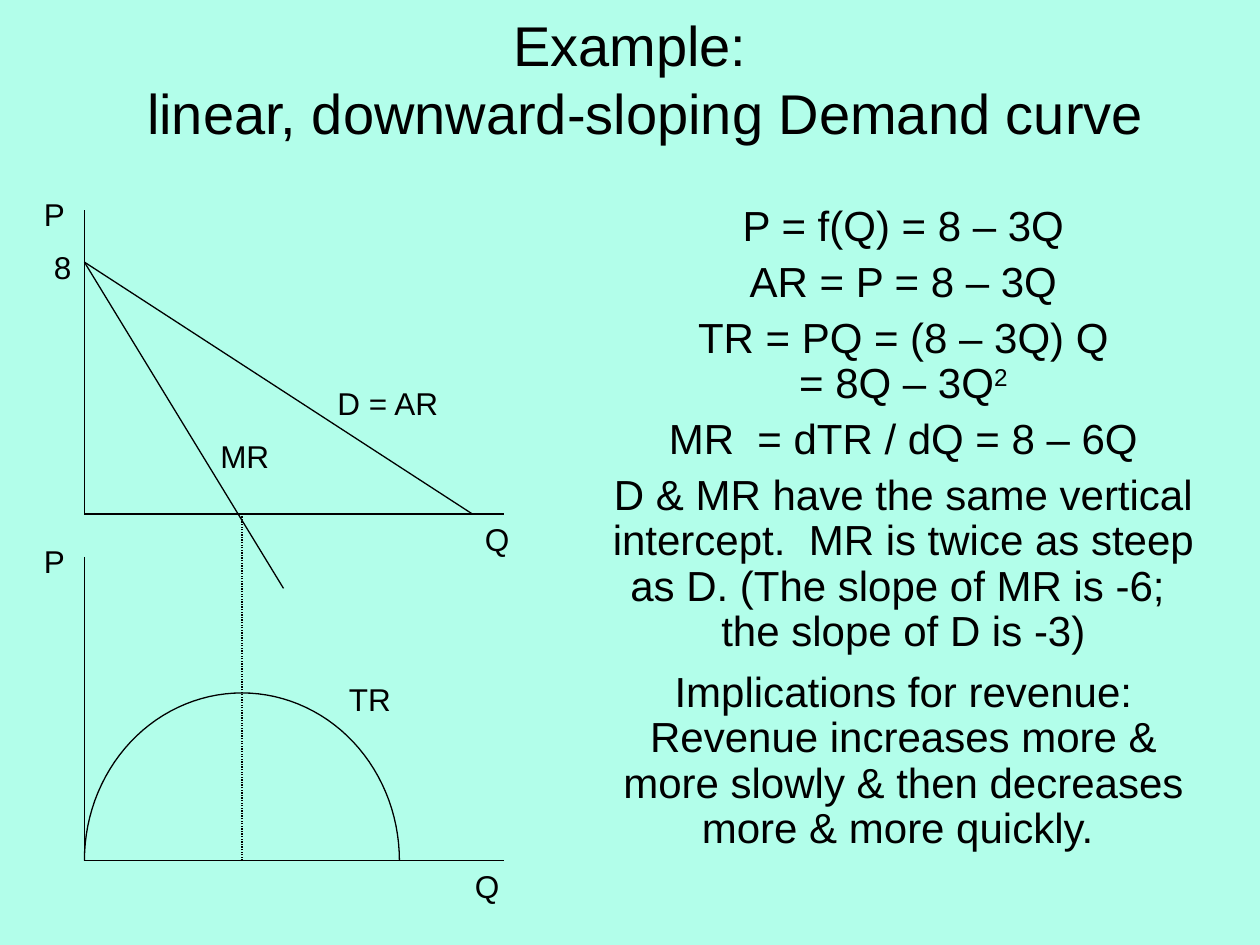
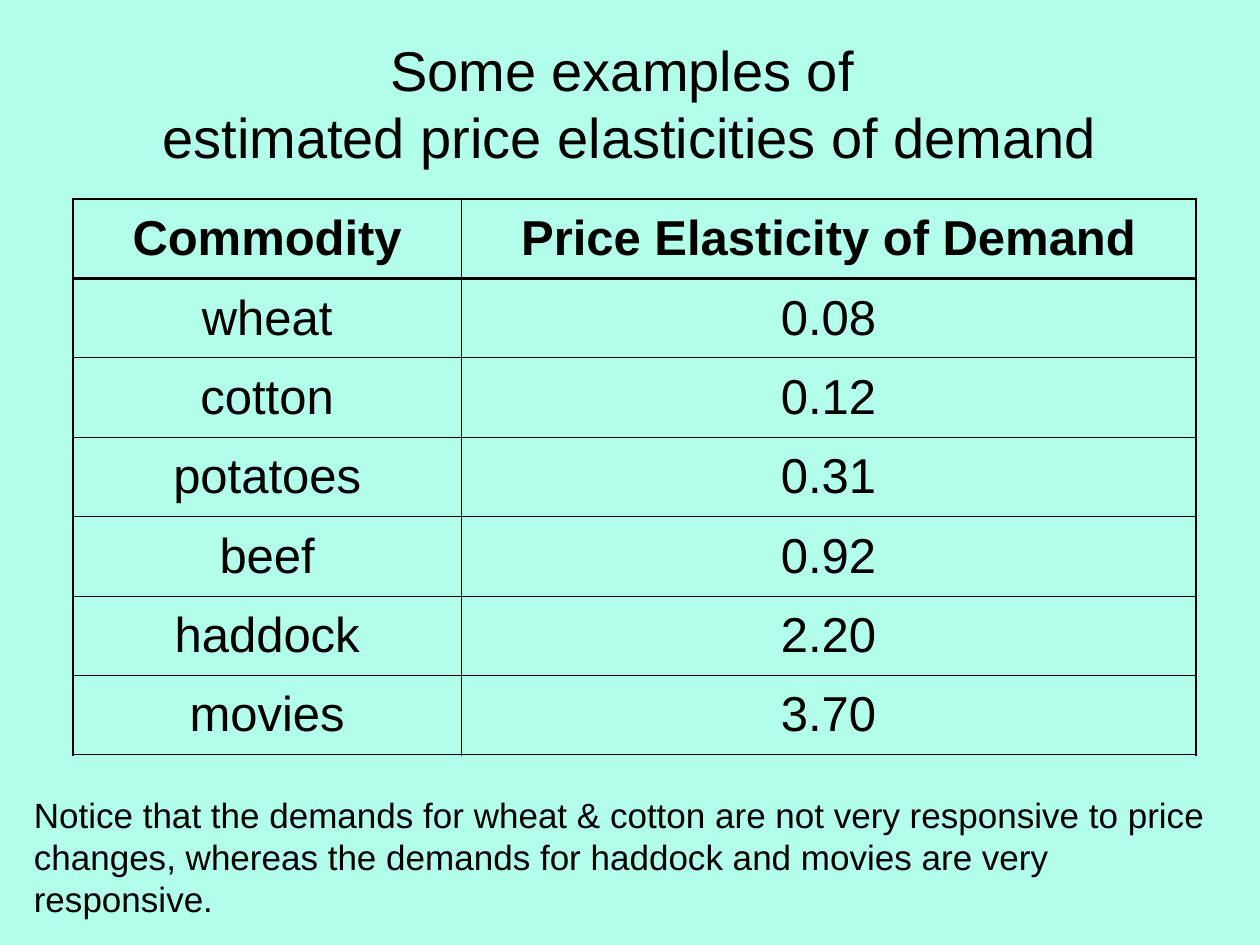
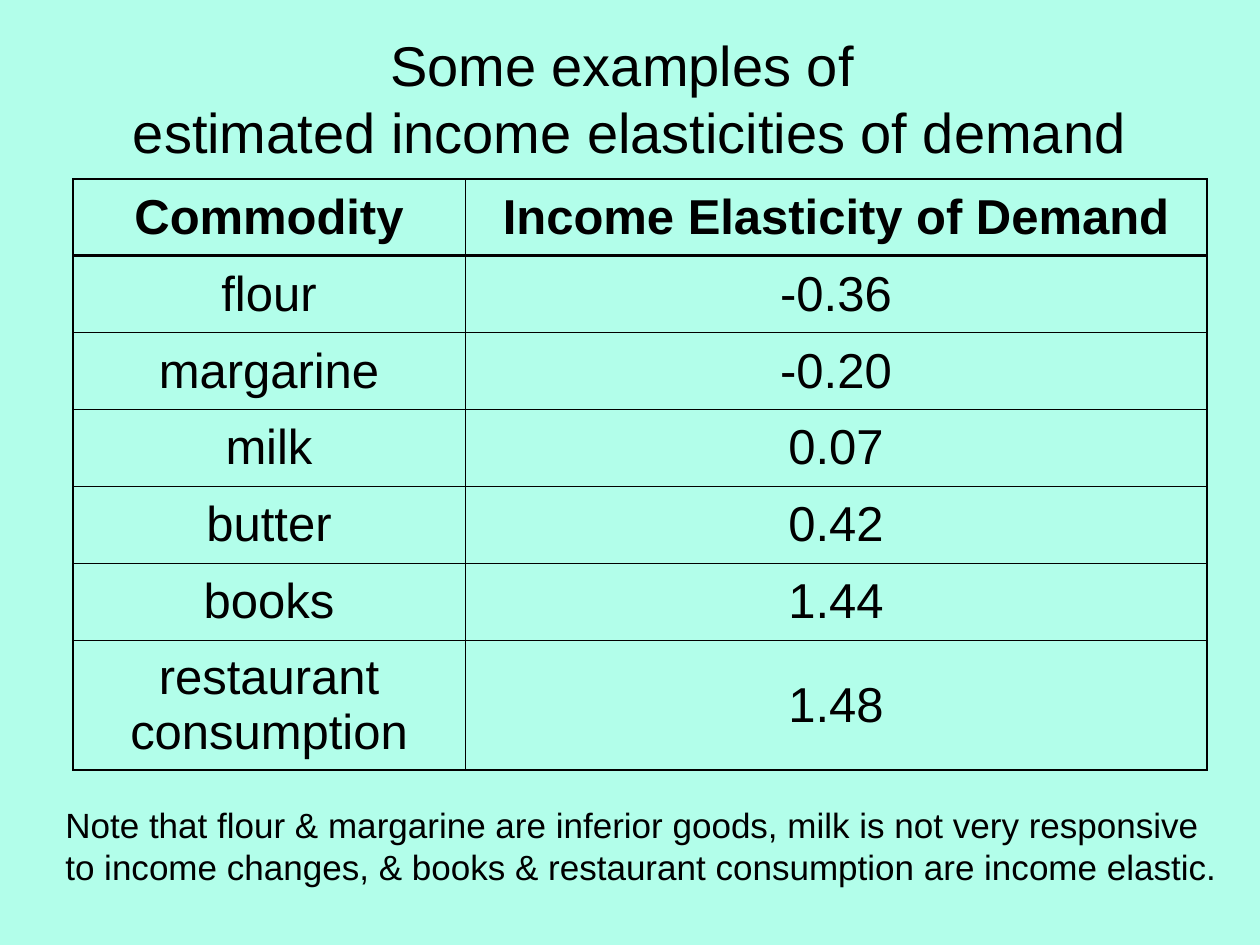
import math
from dataclasses import dataclass, field
from lxml import etree
from pptx import Presentation, util as u
from pptx.dml.color import RGBColor
from pptx.enum import dml, shapes, text
from pptx.oxml.ns import qn
from pptx.slide import Slide
from pptx.text.text import TextFrame


@dataclass(frozen=True)
class Theme:
    font: str = "Arial"
    ink: str = "000000"
    background: str = "B2FEEA"
    title: int = 32
    table: int = 28
    body: int = 24
    note: int = 20
    label: int = 18
    curve: float = 0.75
    grid_line: float = 0.45
    outer_line: float = 1.08
    header_line: float = 2.21


THEME = Theme()
INK = RGBColor.from_string(THEME.ink)
CENTER = text.PP_ALIGN.CENTER


@dataclass(frozen=True)
class Box:
    left: float
    top: float
    width: float
    height: float

    def emu(self) -> list[int]:
        return [u.Inches(n) for n in (self.left, self.top, self.width, self.height)]


@dataclass(frozen=True)
class Para:
    text: str
    before: float = 0
    indent: float = 0
    superscript: str = ""


@dataclass(frozen=True)
class Style:
    size: int
    align: text.PP_ALIGN = text.PP_ALIGN.LEFT
    bold: bool = False
    spacing: float = 1.0
    anchor: text.MSO_ANCHOR = text.MSO_ANCHOR.TOP


TITLE = Style(THEME.title, CENTER, anchor=text.MSO_ANCHOR.MIDDLE)
BODY = Style(THEME.body, CENTER, spacing=0.9)
NOTE = Style(THEME.note)
LABEL = Style(THEME.label)


@dataclass(frozen=True)
class Label:
    text: str
    left: float
    top: float
    width: float = 0.42
    indent: float = 0


@dataclass(frozen=True)
class Segment:
    x1: float
    y1: float
    x2: float
    y2: float
    dotted: bool = False


@dataclass(frozen=True)
class ElasticitySlide:
    kind: str
    title_height: float
    table_top: float
    widths: tuple[float, float]
    row_height: float
    values: dict[str, str]
    note_box: Box
    note: str
    tall_rows: dict[str, float] = field(default_factory=dict)


def fill_text(tf: TextFrame, paras: list[Para], style: Style) -> None:
    for i, para in enumerate(paras):
        p = tf.paragraphs[0] if i == 0 else tf.add_paragraph()
        p.text = para.text
        if para.superscript:
            r = p.add_run()
            r.text = para.superscript
            r._r.get_or_add_rPr().set("baseline", "30000")
        if para.indent:
            p._p.get_or_add_pPr().set("marL", str(u.Inches(para.indent)))
        p.alignment = style.align
        p.line_spacing = style.spacing
        p.space_before = u.Pt(para.before)
        p.font.name = THEME.font
        p.font.size = u.Pt(style.size)
        p.font.bold = style.bold
        p.font.color.rgb = INK


def add_text(s: Slide, box: Box, paras: list[Para], style: Style) -> None:
    tf = s.shapes.add_textbox(*box.emu()).text_frame
    tf.word_wrap = True
    tf.vertical_anchor = style.anchor
    fill_text(tf, paras, style)


def add_segment(s: Slide, seg: Segment) -> None:
    ends = [u.Inches(n) for n in (seg.x1, seg.y1, seg.x2, seg.y2)]
    c = s.shapes.add_connector(shapes.MSO_CONNECTOR.STRAIGHT, *ends)
    c.line.color.rgb = INK
    c.line.width = u.Pt(THEME.curve)
    if seg.dotted:
        c.line.dash_style = dml.MSO_LINE.ROUND_DOT
    etree.SubElement(c._element.spPr, qn("a:effectLst"))


def add_quarter_arc(s: Slide, cx: float, cy: float, rx: float, ry: float, start: int) -> None:
    angles = [math.radians(a) for a in range(start, start + 91, 3)]
    points = [(u.Inches(cx + rx * math.cos(a)), u.Inches(cy - ry * math.sin(a))) for a in angles]
    builder = s.shapes.build_freeform(*points[0])
    builder.add_line_segments(points[1:], close=False)
    sp = builder.convert_to_shape()
    sp.shadow.inherit = False
    sp.fill.background()
    sp.line.color.rgb = INK
    sp.line.width = u.Pt(THEME.curve)


def set_borders(cell, widths: dict[str, float]) -> None:
    tc_pr = cell._tc.get_or_add_tcPr()
    for i, (side, width) in enumerate(widths.items()):
        ln = etree.Element(qn(f"a:ln{side}"), w=str(u.Pt(width)))
        solid = etree.SubElement(ln, qn("a:solidFill"))
        etree.SubElement(solid, qn("a:srgbClr"), val=THEME.ink)
        tc_pr.insert(i, ln)


def add_elasticity_table(s: Slide, spec_: ElasticitySlide) -> None:
    rows = [("Commodity", f"{spec_.kind} Elasticity of Demand"), *spec_.values.items()]
    heights = [spec_.tall_rows.get(name, spec_.row_height) for name, _ in rows]
    box = Box(0.58, spec_.table_top, sum(spec_.widths), sum(heights))
    table = s.shapes.add_table(len(rows), len(spec_.widths), *box.emu()).table
    table.first_row = table.horz_banding = False
    for column, width in zip(table.columns, spec_.widths):
        column.width = u.Inches(width)
    last_row, last_col = len(rows) - 1, len(spec_.widths) - 1
    outer, inner, header = THEME.outer_line, THEME.grid_line, THEME.header_line
    for i, row in enumerate(rows):
        table.rows[i].height = u.Inches(heights[i])
        for j, value in enumerate(row):
            cell = table.cell(i, j)
            cell.vertical_anchor = text.MSO_ANCHOR.MIDDLE
            cell.fill.background()
            fill_text(cell.text_frame, [Para(value)], Style(THEME.table, CENTER, bold=i == 0))
            set_borders(cell, {
                "L": outer if j == 0 else inner,
                "R": outer if j == last_col else inner,
                "T": {0: outer, 1: header}.get(i, inner),
                "B": {0: header, last_row: outer}.get(i, inner),
            })


AXIS_X, AXIS_END = 0.67, 4
DEMAND_BASE, REVENUE_BASE = 4.08, 6.83
AXIS_HEIGHT = 2.41
INTERCEPT = 2.08
PEAK_X = 1.92
RADIUS_X, RADIUS_Y = PEAK_X - AXIS_X, 1.33

SEGMENTS = [
    *(seg for base in (DEMAND_BASE, REVENUE_BASE) for seg in (
        Segment(AXIS_X, base - AXIS_HEIGHT, AXIS_X, base),
        Segment(AXIS_X, base, AXIS_END, base),
    )),
    Segment(AXIS_X, INTERCEPT, 3.75, DEMAND_BASE),
    Segment(AXIS_X, INTERCEPT, 2.25, 4.67),
    Segment(PEAK_X, REVENUE_BASE, PEAK_X, DEMAND_BASE, dotted=True),
]

LABELS = [
    Label("P", 0.25, 1.5),
    Label("Q", 3.75, DEMAND_BASE),
    Label("8", 0.33, 1.92, 0.5),
    Label("D = AR", 2.58, 3, 1.08),
    Label("Q", 3.67, REVENUE_BASE),
    Label("P", 0.25, 4.25),
    Label("TR", 2.67, 5.35, 0.58),
    Label("MR", 1.58, 3.42, 0.75, indent=0.07),
]

DERIVATION = [
    Para("P = f(Q) = 8 – 3Q"),
    Para("AR = P = 8 – 3Q", 6),
    Para("TR = PQ = (8 – 3Q) Q\v= 8Q – 3Q", 6, superscript="2"),
    Para("MR  = dTR / dQ = 8 – 6Q", 6),
    Para("D & MR have the same vertical intercept.  MR is twice as steep as D. "
         "(The slope of MR is -6; \vthe slope of D is -3)", 6),
    Para("Implications for revenue:", 9),
    Para("Revenue increases more & more slowly & then decreases more & more quickly. "),
]

ELASTICITIES = [
    ElasticitySlide(
        "Price", 1.03, 1.58, (3.08, 5.83), 0.63,
        {"wheat": "0.08", "cotton": "0.12", "potatoes": "0.31",
         "beef": "0.92", "haddock": "2.20", "movies": "3.70"},
        Box(0.17, 6.25, 9.75, 1.1),
        "Notice that the demands for wheat & cotton are not very responsive to price changes, "
        "whereas the demands for haddock and movies are very responsive.",
    ),
    ElasticitySlide(
        "Income", 0.95, 1.42, (3.11, 5.89), 0.61,
        {"flour": "-0.36", "margarine": "-0.20", "milk": "0.07",
         "butter": "0.42", "books": "1.44", "restaurant consumption": "1.48"},
        Box(0.42, 6.33, 9.42, 0.77),
        "Note that flour & margarine are inferior goods, milk is not very responsive to income "
        "changes, & books & restaurant consumption are income elastic.",
        {"restaurant consumption": 1.03},
    ),
]


def build_demand_slide(s: Slide) -> None:
    title = [Para("Example:"), Para("linear, downward-sloping Demand curve", indent=0.25)]
    add_text(s, Box(0.5, 0.08, 9, 1.08), title, TITLE)
    for seg in SEGMENTS:
        add_segment(s, seg)
    for start in (90, 0):
        add_quarter_arc(s, PEAK_X, REVENUE_BASE, RADIUS_X, RADIUS_Y, start)
    for label in LABELS:
        box = Box(label.left, label.top, label.width, 0.4)
        add_text(s, box, [Para(label.text, indent=label.indent)], LABEL)
    add_text(s, Box(4.67, 1.58, 5, 5.58), DERIVATION, BODY)


def build_elasticity_slide(s: Slide, content: ElasticitySlide) -> None:
    title = f"Some examples of \vestimated {content.kind.lower()} elasticities of demand"
    add_text(s, Box(0.5, 0.3, 9, content.title_height), [Para(title)], TITLE)
    add_elasticity_table(s, content)
    add_text(s, content.note_box, [Para(content.note)], NOTE)


def main() -> None:
    prs = Presentation()
    prs.slide_width, prs.slide_height = u.Inches(10), u.Inches(7.5)
    fill = prs.slide_master.background.fill
    fill.solid()
    fill.fore_color.rgb = RGBColor.from_string(THEME.background)
    blank = prs.slide_layouts[6]
    build_demand_slide(prs.slides.add_slide(blank))
    for content in ELASTICITIES:
        build_elasticity_slide(prs.slides.add_slide(blank), content)
    prs.save("out.pptx")


if __name__ == "__main__":
    main()
